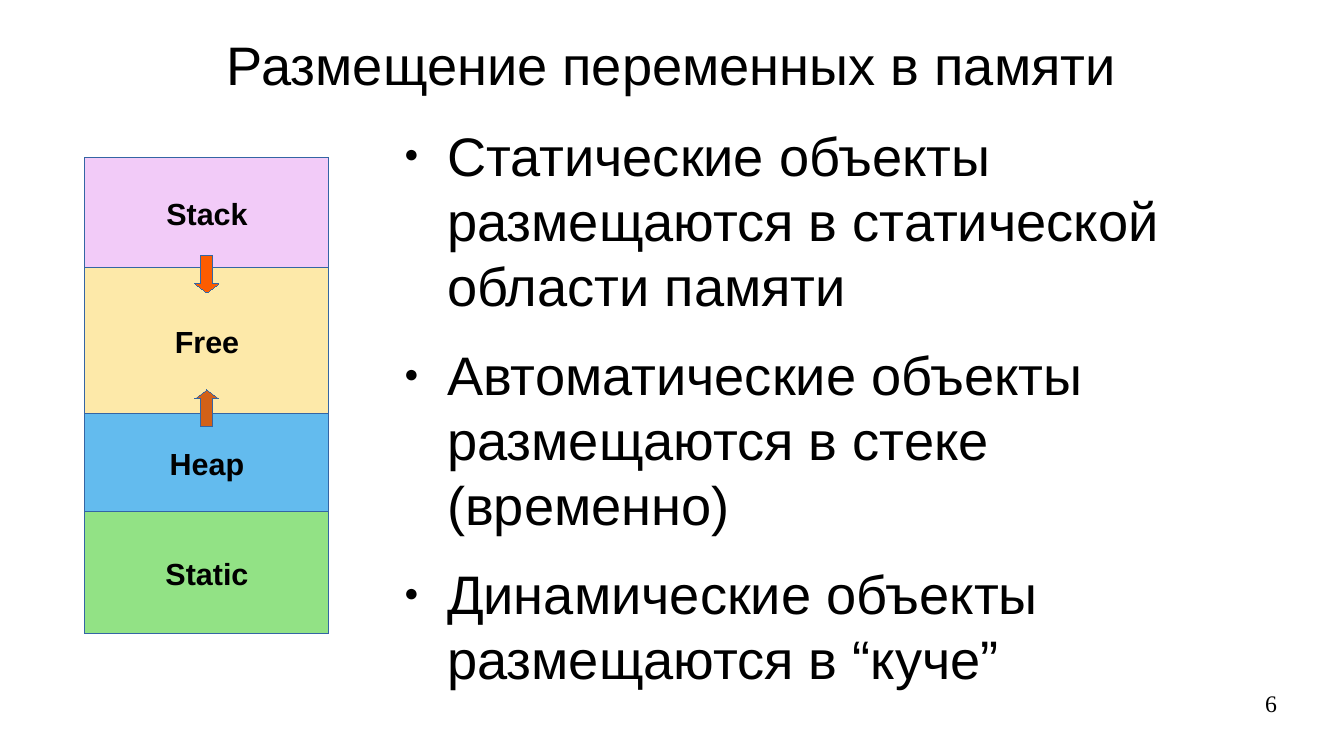
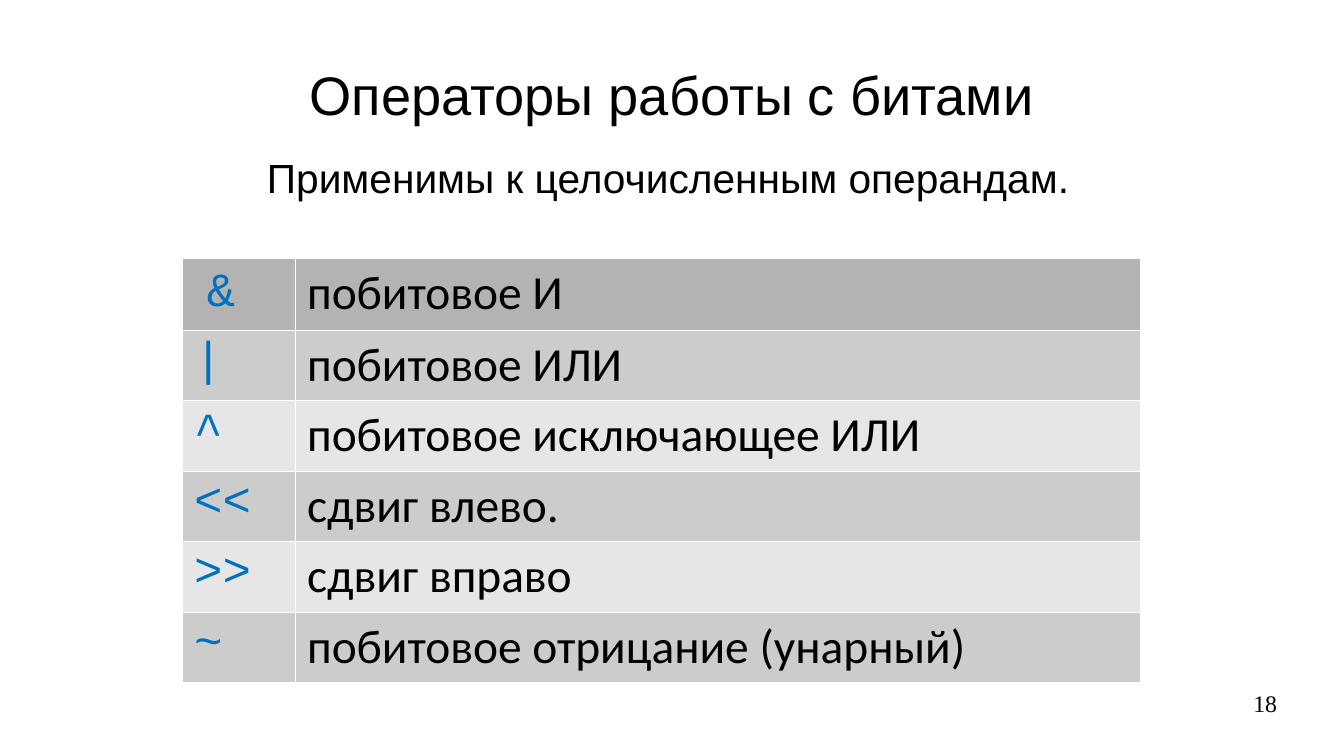
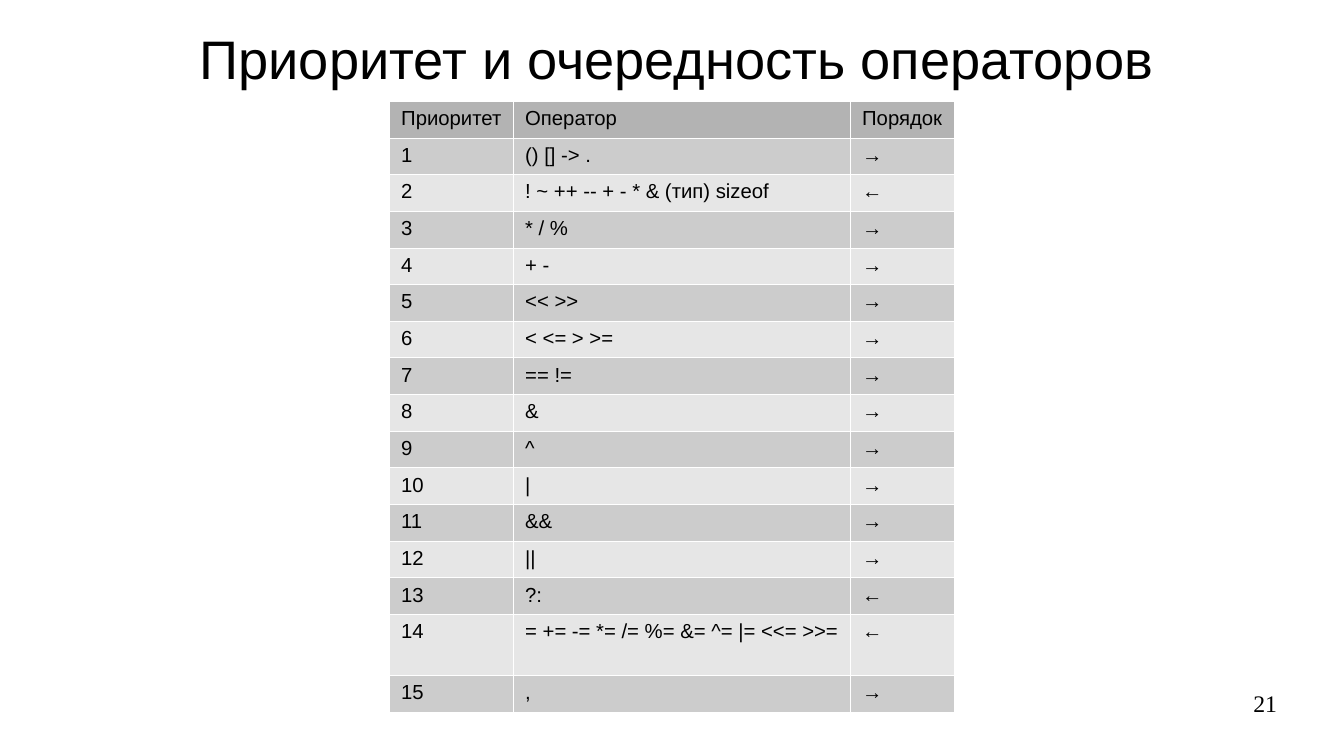
"""Build three lecture slides on memory layout, bit operators and operator precedence."""
import pptx
import pptx.dml.color
import pptx.enum.shapes
import pptx.enum.text
import pptx.oxml
import pptx.oxml.ns
import pptx.util

RGB = pptx.dml.color.RGBColor
ALIGN = pptx.enum.text.PP_ALIGN
ANCHOR = pptx.enum.text.MSO_ANCHOR
FIT = pptx.enum.text.MSO_AUTO_SIZE
SHAPE = pptx.enum.shapes.MSO_SHAPE
NS = pptx.oxml.ns.nsdecls("a")
PX = 914400 / 122

BLACK = RGB(0x00, 0x00, 0x00)
WHITE = RGB(0xFF, 0xFF, 0xFF)
CODE_BLUE = RGB(0x00, 0x70, 0xC0)
OUTLINE = RGB(0x34, 0x65, 0xA4)
PINK = RGB(0xF2, 0xCB, 0xF8)
YELLOW = RGB(0xFD, 0xE9, 0xA9)
BLUE = RGB(0x63, 0xBB, 0xEE)
GREEN = RGB(0x92, 0xE2, 0x85)
ORANGE = RGB(0xFC, 0x5C, 0x00)
RUST = RGB(0xD3, 0x61, 0x18)
HEAD_GREY = RGB(0xB3, 0xB3, 0xB3)
BAND_GREYS = [RGB(0xE6, 0xE6, 0xE6), RGB(0xCC, 0xCC, 0xCC)]


def style(tf, size, font="Arial", color=BLACK, bold=False, align=None, margins=(0, 0)):
    """Format every run of a text frame and set its margins."""
    tf.margin_left = tf.margin_right = round(margins[0] * PX)
    tf.margin_top = tf.margin_bottom = round(margins[1] * PX)
    for p in tf.paragraphs:
        p.alignment = align
        for r in p.runs:
            r.font.name, r.font.size, r.font.bold = font, pptx.util.Pt(size), bold
            r.font.color.rgb = color


def add_grid(s, rows, box, widths, size, fonts, colors, tall):
    """Add a banded table; tall maps a row index to its own height."""
    tbl = s.shapes.add_table(len(rows), len(widths), *[round(v * PX) for v in box]).table
    tbl.first_row = tbl.horz_banding = False
    for col, w in zip(tbl.columns, widths):
        col.width = round(w * PX)
    row_h = (box[3] - sum(tall.values())) / (len(rows) - len(tall))
    for i, texts in enumerate(rows):
        tbl.rows[i].height = round(tall.get(i, row_h) * PX)
        for j, text in enumerate(texts):
            cell = tbl.cell(i, j)
            cell.text_frame.text = text
            style(cell.text_frame, size, fonts[j], colors[j], margins=(12, 6))
            cell.margin_right = round(10 * PX)
            for side in "LRTB":
                cell._tc.get_or_add_tcPr().append(pptx.oxml.parse_xml(
                    f'<a:ln{side} {NS} w="720"><a:solidFill><a:srgbClr val="FFFFFF"/>'
                    f'</a:solidFill></a:ln{side}>'))
            cell.fill.solid()
            cell.fill.fore_color.rgb = BAND_GREYS[i % 2] if i else HEAD_GREY
    return tbl


prs = pptx.Presentation()
prs.slide_width, prs.slide_height = round(1344 * PX), round(756 * PX)

slides = []
for layout, title, number, box in [
    (1, "Размещение переменных в памяти", "6", (67, 30, 1210, 67)),
    (5, "Операторы работы с битами", "18", (67, 30, 1210, 127)),
    (5, "Приоритет и очередность операторов", "21", (72, 15, 1210, 85)),
]:
    s = prs.slides.add_slide(prs.slide_layouts[layout])
    sp = s.shapes.title
    sp.left, sp.top, sp.width, sp.height = [round(v * PX) for v in box]
    tf = sp.text_frame
    tf.text = title
    tf.auto_size, tf.vertical_anchor = FIT.NONE, ANCHOR.MIDDLE
    style(tf, 32, align=ALIGN.CENTER)
    tf = s.shapes.add_textbox(*[round(v * PX) for v in (964, 689, 313, 52)]).text_frame
    tf.word_wrap = True
    tf.text = number
    style(tf, 14, "Times New Roman", align=ALIGN.RIGHT)
    slides.append(s)
memory, bits, precedence = slides

sp = memory.placeholders[1]
sp.left, sp.top, sp.width, sp.height = [round(v * PX) for v in (390, 122, 888, 598)]
tf = sp.text_frame
tf.text = "\n".join([
    "Статические объекты размещаются в статической области памяти",
    "Автоматические объекты размещаются в стеке (временно)",
    "Динамические объекты размещаются в “куче”",
])
tf.auto_size = FIT.NONE
style(tf, 32)
for p in tf.paragraphs:
    p.space_before = pptx.util.Pt(14.2)
    pPr = p._p.get_or_add_pPr()
    pPr.set("marL", str(round(57 * PX)))
    pPr.set("indent", str(round(-43 * PX)))
    for bullet in ('buClr {}><a:srgbClr val="000000"/></a:buClr>',
                   'buSzPct {} val="45000"/>', 'buChar {} char="●"/>'):
        pPr.append(pptx.oxml.parse_xml("<a:" + bullet.format(NS)))

top = 158
blocks = []
for name, height, color in [("Stack", 110, PINK), ("Free", 146, YELLOW),
                            ("Heap", 98, BLUE), ("Static", 122, GREEN)]:
    blocks.append((SHAPE.RECTANGLE, name, (85, top, 244, height), color))
    top += height
frame = [(SHAPE.RECTANGLE, "", (85, 158, 244, top - 158), WHITE)]
arrows = [(SHAPE.UP_ARROW, "", (195, 390, 24, 37), RUST),
          (SHAPE.DOWN_ARROW, "", (195, 256, 24, 37), ORANGE)]
for kind, name, box, color in frame + blocks + arrows:
    sp = memory.shapes.add_shape(kind, *[round(v * PX) for v in box])
    sp.shadow.inherit = False
    sp.fill.solid()
    sp.fill.fore_color.rgb = color
    sp.line.color.rgb = OUTLINE
    sp.line.width = 1
    if name:
        tf = sp.text_frame
        tf.text = name
        tf.vertical_anchor = ANCHOR.MIDDLE
        style(tf, 18, bold=True, align=ALIGN.CENTER, margins=(12, 6))
    elif kind != SHAPE.RECTANGLE:
        sp.adjustments[0], sp.adjustments[1] = 0.5, 0.375

tbl = add_grid(bits, [
    ("&", "побитовое И"),
    ("|", "побитовое ИЛИ"),
    ("^", "побитовое исключающее ИЛИ"),
    ("<<", "сдвиг влево."),
    (">>", "сдвиг вправо"),
    ("~", "побитовое отрицание (унарный)"),
], (182, 258, 958, 423), (113, 845), 28, ("Courier New", "Calibri"), (CODE_BLUE, BLACK), {})
tbl.cell(0, 0).margin_left = round(25 * PX)
tbl.cell(0, 0).margin_top = round(9 * PX)

tf = bits.shapes.add_textbox(*[round(v * PX) for v in (255, 147, 827, 57)]).text_frame
tf.word_wrap = False
tf.text = "Применимы к целочисленным операндам."
style(tf, 24, margins=(12, 6))

operators = [
    "() [] -> .", "! ~ ++ -- + - * & (тип) sizeof", "* / %", "+ -", "<< >>",
    "< <= > >=", "== !=", "&", "^", "|", "&&", "||", "?:",
    "= += -= *= /= %= &= ^= |= <<= >>=", ",",
]
rows = [("Приоритет", "Оператор", "Порядок")]
for rank, ops in enumerate(operators, 1):
    rows.append((str(rank), ops, "←" if rank in (2, 13, 14) else "→"))
add_grid(precedence, rows, (389, 101, 565, 610), (124, 337, 104), 12,
         ("Arial",) * 3, (BLACK,) * 3, {14: 61})

prs.save("out.pptx")
